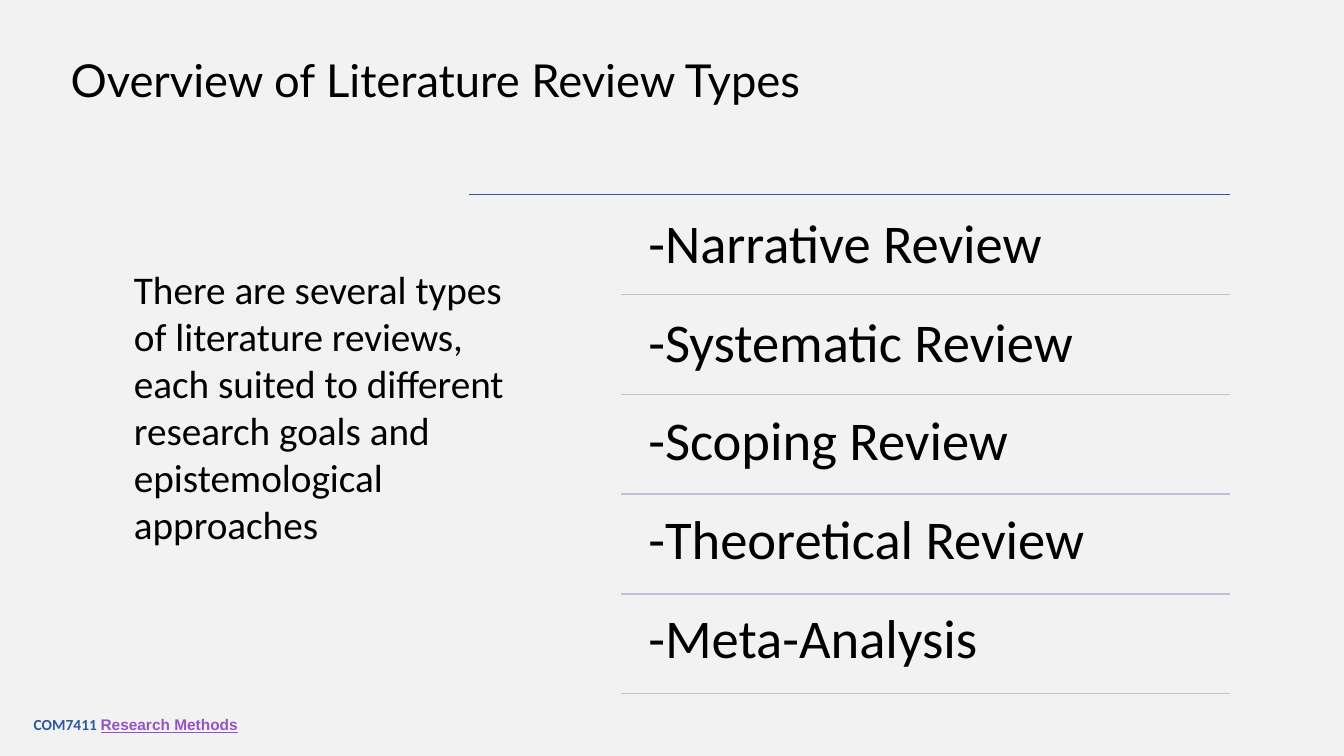
from dataclasses import dataclass

from lxml import etree
from pptx import Presentation
from pptx.dml.color import RGBColor
from pptx.enum import shapes, text
from pptx.oxml import ns
from pptx.util import Pt

COLOURS = {
    "background": "F2F2F2",
    "ink": "000000",
    "blue": "2C599D",
    "purple": "9454C3",
    "divider": "BEC4D5",
}
REVIEW_TYPES = ["Narrative Review", "Systematic Review", "Scoping Review",
                "Theoretical Review", "Meta-Analysis"]
INTRO = ("There are several types of literature reviews, each suited to "
         "different research goals and epistemological approaches")
RULE_TOP, ROW_PITCH, RULE_RIGHT = 139, 71.3, 878.4


@dataclass
class Frame:
    left: float
    top: float
    width: float
    height: float


@dataclass
class Style:
    font: str
    size: float
    colour: str = "ink"
    bold: bool = False
    underline: bool = False


@dataclass
class Rule:
    left: float
    top: float
    colour: str
    weight: float


def place(box, frame: Frame, anchor, inset: float | None = None) -> None:
    """Position a box and set up its text frame."""
    box.left, box.top = Pt(frame.left), Pt(frame.top)
    box.width, box.height = Pt(frame.width), Pt(frame.height)
    body = box.text_frame
    body.word_wrap = True
    body.auto_size = text.MSO_AUTO_SIZE.NONE
    body.vertical_anchor = anchor
    if inset is not None:
        body.margin_left = body.margin_right = Pt(inset)
        body.margin_top = body.margin_bottom = Pt(inset)


def format_span(span, style: Style) -> None:
    """Apply a style to one run."""
    span.font.name = style.font
    span.font.size = Pt(style.size)
    span.font.bold = style.bold
    span.font.underline = style.underline
    span.font.color.rgb = RGBColor.from_string(COLOURS[style.colour])


def format_text(box, style: Style, spacing: float = 1, after: float = 0) -> None:
    """Left-align and style every paragraph of a box."""
    for para in box.text_frame.paragraphs:
        para.alignment = text.PP_ALIGN.LEFT
        para.line_spacing = spacing
        para.space_before, para.space_after = Pt(0), Pt(after)
        for span in para.runs:
            format_span(span, style)


def remove_bullets(box) -> None:
    """Turn off the bullets and hanging indents of a list."""
    for para in box.text_frame.paragraphs:
        properties = para._p.get_or_add_pPr()
        properties.set("marL", "0")
        properties.set("indent", "0")
        etree.SubElement(properties, ns.qn("a:buNone"))


def add_rule(page, rule: Rule) -> None:
    """Draw a horizontal rule to the right edge of the list."""
    line = page.shapes.add_connector(
        shapes.MSO_CONNECTOR.STRAIGHT,
        Pt(rule.left), Pt(rule.top), Pt(RULE_RIGHT), Pt(rule.top))
    line.line.color.rgb = RGBColor.from_string(COLOURS[rule.colour])
    line.line.width = Pt(rule.weight)
    etree.SubElement(line._element.spPr, ns.qn("a:effectLst"))


def add_text(page, frame: Frame, anchor):
    """Add an empty wrapping text box."""
    box = page.shapes.add_textbox(0, 0, 0, 0)
    place(box, frame, anchor)
    return box


def add_footer(page) -> None:
    """Add the course code and name at the bottom left."""
    box = add_text(page, Frame(17, 503.3, 324, 28.8), text.MSO_ANCHOR.MIDDLE)
    para = box.text_frame.paragraphs[0]
    styles = {
        "COM7411 ": Style("Calibri", 11, "blue", bold=True),
        "Research Methods": Style("Arial", 11, "purple", bold=True, underline=True),
    }
    for words, style in styles.items():
        span = para.add_run()
        span.text = words
        format_span(span, style)


def main() -> None:
    """Build the literature review overview slide."""
    deck = Presentation()
    deck.slide_width, deck.slide_height = Pt(960), Pt(540)
    page = deck.slides.add_slide(deck.slide_layouts[1])
    page.background.fill.solid()
    page.background.fill.fore_color.rgb = RGBColor.from_string(COLOURS["background"])

    title, review_list = page.placeholders
    place(title, Frame(43.2, 33.8, 810.7, 50.4), text.MSO_ANCHOR.MIDDLE, 7.2)
    title.text_frame.text = "Overview of Literature Review Types"
    format_text(title, Style("Lato", 32.4), spacing=0.9)

    place(review_list, Frame(451.4, 142.6, 427, 353), text.MSO_ANCHOR.TOP, 11.7)
    review_list.text_frame.text = "\n".join(f"-{name}" for name in REVIEW_TYPES)
    remove_bullets(review_list)
    format_text(review_list, Style("Calibri", 39), spacing=0.9, after=28.5)

    add_rule(page, Rule(334.8, RULE_TOP, "blue", 0.5))
    for row in range(1, len(REVIEW_TYPES) + 1):
        add_rule(page, Rule(443.5, RULE_TOP + row * ROW_PITCH, "divider", 1))

    intro = add_text(page, Frame(88.6, 185.8, 292.3, 211), text.MSO_ANCHOR.TOP)
    intro.text_frame.text = INTRO
    format_text(intro, Style("Calibri", 28))
    add_footer(page)
    deck.save("out.pptx")


if __name__ == "__main__":
    main()
